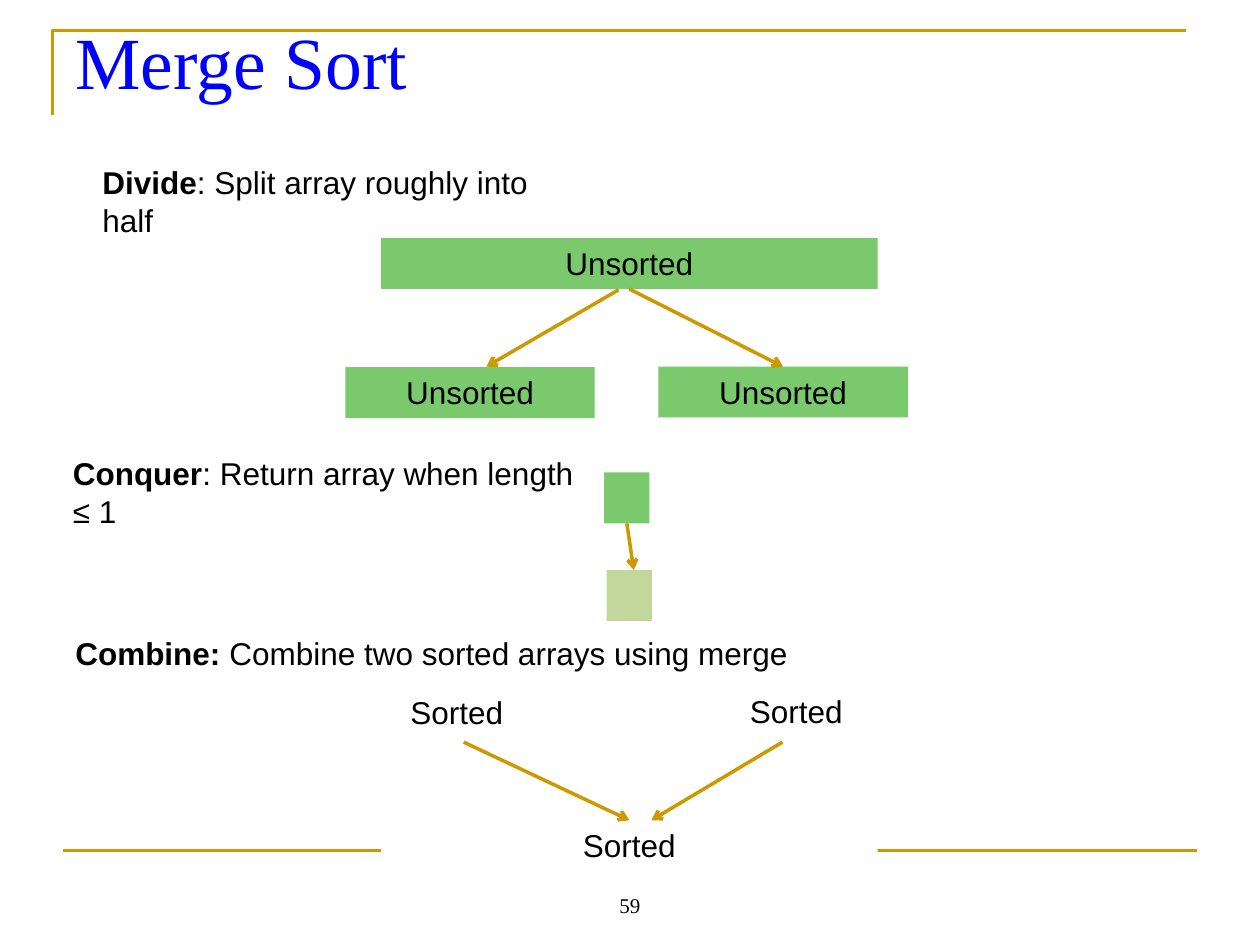
from lxml.etree import SubElement
from pptx import Presentation
from pptx.dml.color import RGBColor
from pptx.enum.shapes import MSO_CONNECTOR, MSO_SHAPE
from pptx.enum.text import MSO_ANCHOR, PP_ALIGN
from pptx.oxml.ns import qn
from pptx.util import Inches, Pt

COLORS = {name: RGBColor.from_string(value) for name, value in {
    "gold": "CC9900", "title": "0000FF", "text": "000000",
    "unsorted": "7AC96C", "base": "C3D69B", "sorted": "FFFFFF",
}.items()}

presentation = Presentation()
presentation.slide_width = Inches(10)
presentation.slide_height = Inches(7.5)
column = presentation.slide_width / 100
row = presentation.slide_height / 75
slide = presentation.slides.add_slide(presentation.slide_layouts[5])


def place(left, top, width, height):
    return round(left * column), round(top * row), round(width * column), round(height * row)


def write(shape, runs, size=18, font="Arial", color="text", align=PP_ALIGN.LEFT, anchor=MSO_ANCHOR.TOP):
    frame = shape.text_frame
    frame.word_wrap = True
    frame.vertical_anchor = anchor
    paragraph = frame.paragraphs[0]
    paragraph.alignment = align
    for text, bold in runs:
        run = paragraph.add_run()
        run.text = text
        run.font.size = Pt(size)
        run.font.name = font
        run.font.bold = bold
        run.font.color.rgb = COLORS[color]


builder = slide.shapes.build_freeform(round(4.15 * column), round(9.15 * row))
builder.add_line_segments(
    [(round(x * column), round(y * row)) for x, y in [(4.15, 2.45), (94.15, 2.45)]], close=False)
corner = builder.convert_to_shape()
corner.shadow.inherit = False
corner.fill.background()
corner.line.color.rgb = COLORS["gold"]
corner.line.width = Pt(1.5)

footer_line = slide.shapes.add_connector(
    MSO_CONNECTOR.STRAIGHT, *place(5, 67.5, 95, 67.5))
footer_line.line.color.rgb = COLORS["gold"]
footer_line.line.width = Pt(1.5)
SubElement(footer_line._element.spPr, qn("a:effectLst"))

title = slide.shapes.title
title.left, title.top, title.width, title.height = place(5, 0.7, 90, 12.5)
title.text_frame.margin_top = round(0.55 * row)
write(title, [("Merge Sort", False)], 42, "Times New Roman", "title")

page_number = slide.shapes.add_textbox(*place(34.15, 68.3, 31.7, 5))
write(page_number, [("59", False)], 12, "Times New Roman", align=PP_ALIGN.CENTER, anchor=MSO_ANCHOR.BOTTOM)

box_rows = [
    ("whole", 30.25, 18.9, 39.4, "unsorted", "Unsorted"),
    ("left half", 27.4, 29.15, 19.8, "unsorted", "Unsorted"),
    ("right half", 52.25, 29.1, 19.8, "unsorted", "Unsorted"),
    ("merged", 30.25, 65.1, 39.4, "sorted", "Sorted"),
    ("left sorted", 26.35, 54.5, 19.8, "sorted", "Sorted"),
    ("right sorted", 53.3, 54.4, 19.8, "sorted", "Sorted"),
    ("returned", 48.15, 45.25, 3.6, "base", ""),
    ("single", 47.95, 37.5, 3.6, "unsorted", ""),
]
boxes = {}
for name, left, top, width, color, label in box_rows:
    box = slide.shapes.add_shape(MSO_SHAPE.RECTANGLE, *place(left, top, width, 4.04))
    box.shadow.inherit = False
    box.fill.solid()
    box.fill.fore_color.rgb = COLORS[color]
    box.line.fill.background()
    if label:
        write(box, [(label, False)], align=PP_ALIGN.CENTER)
    boxes[name] = box

arrow_rows = [
    (49.1, 23, 38.6, 29.1, None, None),
    (50, 23, 62.1, 29.1, "whole", "right half"),
    (36.8, 58.9, 50, 65.1, None, "merged"),
    (62.1, 58.9, 51.7, 65.1, None, None),
    (49.8, 41.5, 50.3, 45.25, "single", None),
]
for start_x, start_y, end_x, end_y, source, target in arrow_rows:
    arrow = slide.shapes.add_connector(
        MSO_CONNECTOR.STRAIGHT, *place(start_x, start_y, end_x, end_y))
    if source:
        arrow.begin_connect(boxes[source], 2)
    if target:
        arrow.end_connect(boxes[target], 0)
    arrow.line.color.rgb = COLORS["gold"]
    arrow.line.width = Pt(2)
    SubElement(arrow.line._get_or_add_ln(), qn("a:tailEnd"), type="arrow")
    SubElement(arrow._element.spPr, qn("a:effectLst"))

step_rows = [
    (7.15, 12.45, 39, 7, "Divide", ": Split array roughly into half"),
    (4.8, 35.55, 43.1, 7, "Conquer", ": Return array when length ≤ 1"),
    (5, 49.8, 59.7, 4, "Combine: ", "Combine two sorted arrays using merge"),
]
for left, top, width, height, step, description in step_rows:
    step_box = slide.shapes.add_textbox(*place(left, top, width, height))
    write(step_box, [(step, True), (description, False)])

presentation.save("out.pptx")
